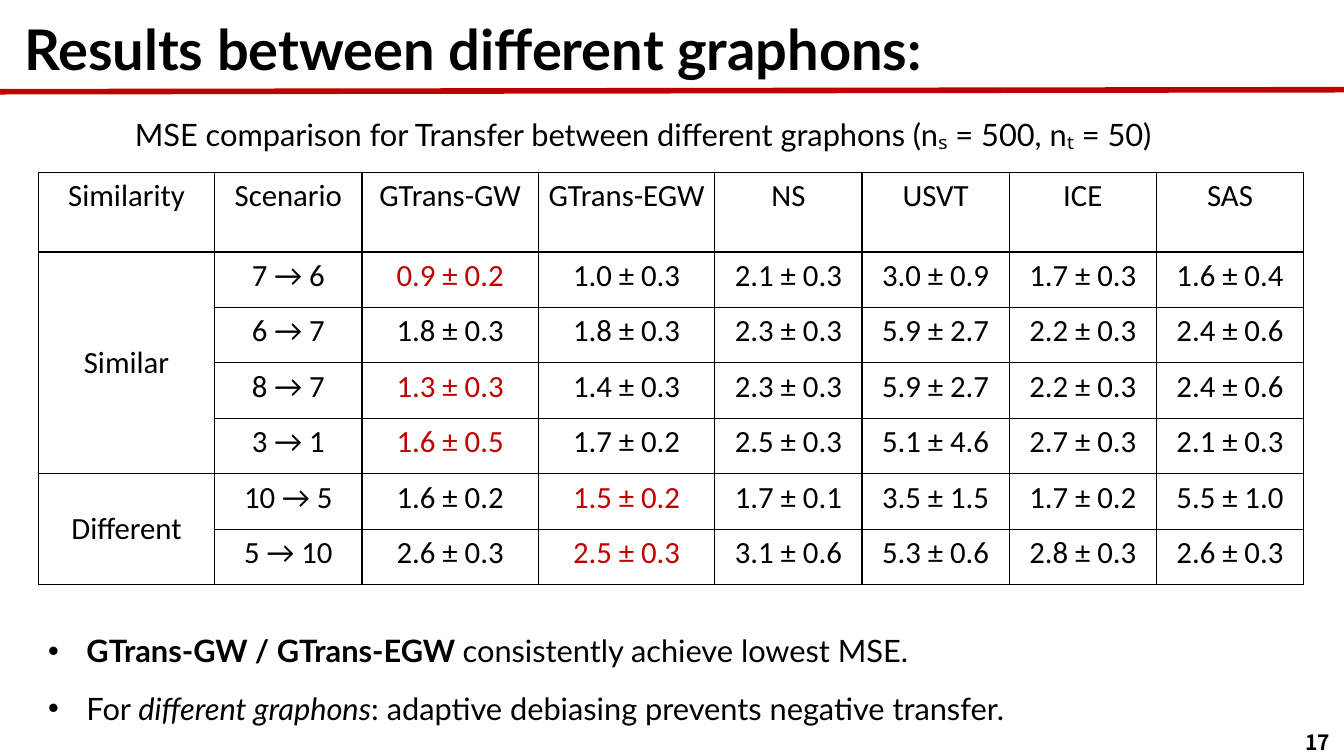
import dataclasses
import typing

import lxml.etree
import pptx
import pptx.dml.color
import pptx.enum.shapes
import pptx.enum.text
import pptx.oxml.ns
import pptx.util

Inches = pptx.util.Inches
Pt = pptx.util.Pt
Align = pptx.enum.text.PP_ALIGN
Anchor = pptx.enum.text.MSO_ANCHOR
AutoSize = pptx.enum.text.MSO_AUTO_SIZE
qn = pptx.oxml.ns.qn

COLORS = {"ink": "000000", "accent": "C00000"}


@dataclasses.dataclass(frozen=True)
class Run:
    text: str
    size: float = 22
    font: str = "Lato"
    color: str = "ink"
    bold: bool = False
    italic: bool = False


@dataclasses.dataclass(frozen=True)
class Paragraph:
    runs: tuple[Run, ...]
    layout: dict[str, typing.Any] = dataclasses.field(default_factory=dict)
    bulleted: bool = False


@dataclasses.dataclass(frozen=True)
class TextBlock:
    box: tuple[float, float, float, float]
    paragraphs: tuple[Paragraph, ...]
    frame: dict[str, typing.Any] = dataclasses.field(default_factory=dict)


@dataclasses.dataclass(frozen=True)
class Group:
    name: str
    scenarios: dict[str, tuple[str, ...]]


BULLET_LAYOUT = {"line_spacing": Pt(41)}

TEXT_BLOCKS = (
    TextBlock(
        (11.04, 7.16, 2.25, 0.4),
        (Paragraph((Run("17", 15, "Noto Sans CJK SC", bold=True),), {"alignment": Align.RIGHT}),),
        {"vertical_anchor": Anchor.MIDDLE},
    ),
    TextBlock(
        (0.14, 0.1, 11.69, 0.77),
        (Paragraph((Run("Results between different graphons:", 40, bold=True),)),),
        {"auto_size": AutoSize.SHAPE_TO_FIT_TEXT},
    ),
    TextBlock(
        (0.38, 0.92, 12, 0.79),
        (
            Paragraph(
                (Run("MSE comparison for Transfer between different graphons (nₛ = 500, nₜ = 50)"),),
                {"alignment": Align.CENTER, "line_spacing": 1.5, "space_before": Pt(10)},
            ),
        ),
    ),
    TextBlock(
        (0.38, 6.02, 11.7, 1.2),
        (
            Paragraph(
                (Run("GTrans-GW / GTrans-EGW ", bold=True), Run("consistently achieve lowest MSE.")),
                BULLET_LAYOUT,
                bulleted=True,
            ),
            Paragraph(
                (
                    Run("For "),
                    Run("different graphons", italic=True),
                    Run(": adaptive debiasing prevents negative transfer."),
                ),
                BULLET_LAYOUT,
                bulleted=True,
            ),
        ),
        {"auto_size": AutoSize.SHAPE_TO_FIT_TEXT},
    ),
)

HEADINGS = ("Similarity", "Scenario", "GTrans-GW", "GTrans-EGW", "NS", "USVT", "ICE", "SAS")
WIDE_HEADINGS = {"Similarity", "GTrans-GW", "GTrans-EGW"}
GROUPS = (
    Group("Similar", {
        "7 → 6": ("0.9 ± 0.2", "1.0 ± 0.3", "2.1 ± 0.3", "3.0 ± 0.9", "1.7 ± 0.3", "1.6 ± 0.4"),
        "6 → 7": ("1.8 ± 0.3", "1.8 ± 0.3", "2.3 ± 0.3", "5.9 ± 2.7", "2.2 ± 0.3", "2.4 ± 0.6"),
        "8 → 7": ("1.3 ± 0.3", "1.4 ± 0.3", "2.3 ± 0.3", "5.9 ± 2.7", "2.2 ± 0.3", "2.4 ± 0.6"),
        "3 → 1": ("1.6 ± 0.5", "1.7 ± 0.2", "2.5 ± 0.3", "5.1 ± 4.6", "2.7 ± 0.3", "2.1 ± 0.3"),
    }),
    Group("Different", {
        "10 → 5": ("1.6 ± 0.2", "1.5 ± 0.2", "1.7 ± 0.1", "3.5 ± 1.5", "1.7 ± 0.2", "5.5 ± 1.0"),
        "5 → 10": ("2.6 ± 0.3", "2.5 ± 0.3", "3.1 ± 0.6", "5.3 ± 0.6", "2.8 ± 0.3", "2.6 ± 0.3"),
    }),
)


def apply_format(target: typing.Any, values: dict[str, typing.Any]) -> None:
    for name, value in values.items():
        setattr(target, name, value)


def rgb(color: str) -> pptx.dml.color.RGBColor:
    return pptx.dml.color.RGBColor.from_string(COLORS[color])


def write_paragraph(target: typing.Any, content: Paragraph) -> None:
    apply_format(target, content.layout)
    if content.bulleted:
        properties = target._p.get_or_add_pPr()
        properties.set("marL", str(Inches(0.38)))
        properties.set("indent", str(Inches(-0.38)))
        lxml.etree.SubElement(properties, qn("a:buFont"), typeface="Arial")
        lxml.etree.SubElement(properties, qn("a:buChar"), char="•")
    for piece in content.runs:
        run = target.add_run()
        run.text = piece.text
        apply_format(run.font, {
            "size": Pt(piece.size), "name": piece.font,
            "bold": piece.bold, "italic": piece.italic,
        })
        run.font.color.rgb = rgb(piece.color)


def draw_text(slide: typing.Any, block: TextBlock) -> None:
    frame = slide.shapes.add_textbox(*map(Inches, block.box)).text_frame
    apply_format(frame, {"word_wrap": True, **block.frame})
    for index, content in enumerate(block.paragraphs):
        write_paragraph(frame.add_paragraph() if index else frame.paragraphs[0], content)


def draw_title_rule(slide: typing.Any) -> None:
    rule = slide.shapes.add_connector(
        pptx.enum.shapes.MSO_CONNECTOR.STRAIGHT,
        Inches(-0.01), Inches(0.91), Inches(13.33), Inches(0.89),
    )
    rule.line.color.rgb = rgb("accent")
    rule.line.width = Pt(4)
    lxml.etree.SubElement(rule._element.spPr, qn("a:effectLst"))


def write_cell(cell: typing.Any, text: str, color: str = "ink") -> None:
    run = Run(text, font="Calibri", color=color)
    write_paragraph(cell.text_frame.paragraphs[0], Paragraph((run,), {"alignment": Align.CENTER}))


def outline_cell(cell: typing.Any) -> None:
    cell.fill.background()
    properties = cell._tc.get_or_add_tcPr()
    for index, side in enumerate(("a:lnL", "a:lnR", "a:lnT", "a:lnB")):
        border = lxml.etree.Element(qn(side), w=str(Pt(1)))
        fill = lxml.etree.SubElement(border, qn("a:solidFill"))
        lxml.etree.SubElement(fill, qn("a:srgbClr"), val=COLORS["ink"])
        properties.insert(index, border)


def draw_results(slide: typing.Any) -> None:
    row_count = 1 + sum(len(group.scenarios) for group in GROUPS)
    results = slide.shapes.add_table(
        row_count, len(HEADINGS), Inches(0.38), Inches(1.71), Inches(12.56), Inches(4.12)
    ).table
    apply_format(results, {"first_row": False, "horz_banding": False})
    for column, heading in zip(results.columns, HEADINGS):
        column.width = Inches(1.75 if heading in WIDE_HEADINGS else 1.46)
    for index, row in enumerate(results.rows):
        row.height = Inches(0.55 if index else 0.79)
    for cell in results.iter_cells():
        outline_cell(cell)
    for index, heading in enumerate(HEADINGS):
        write_cell(results.cell(0, index), heading)

    row_index = 1
    for group in GROUPS:
        similarity = results.cell(row_index, 0)
        similarity.merge(results.cell(row_index + len(group.scenarios) - 1, 0))
        similarity.vertical_anchor = Anchor.MIDDLE
        write_cell(similarity, group.name)
        for scenario, errors in group.scenarios.items():
            write_cell(results.cell(row_index, 1), scenario)
            lowest = min(errors)
            for index, error in enumerate(errors, start=2):
                sole_best = error == lowest and errors.count(lowest) == 1
                write_cell(results.cell(row_index, index), error, "accent" if sole_best else "ink")
            row_index += 1


def main() -> None:
    deck = pptx.Presentation()
    apply_format(deck, {"slide_width": Inches(13.33), "slide_height": Inches(7.5)})
    slide = deck.slides.add_slide(deck.slide_layouts[6])
    draw_title_rule(slide)
    for block in TEXT_BLOCKS:
        draw_text(slide, block)
    draw_results(slide)
    deck.save("out.pptx")


if __name__ == "__main__":
    main()
